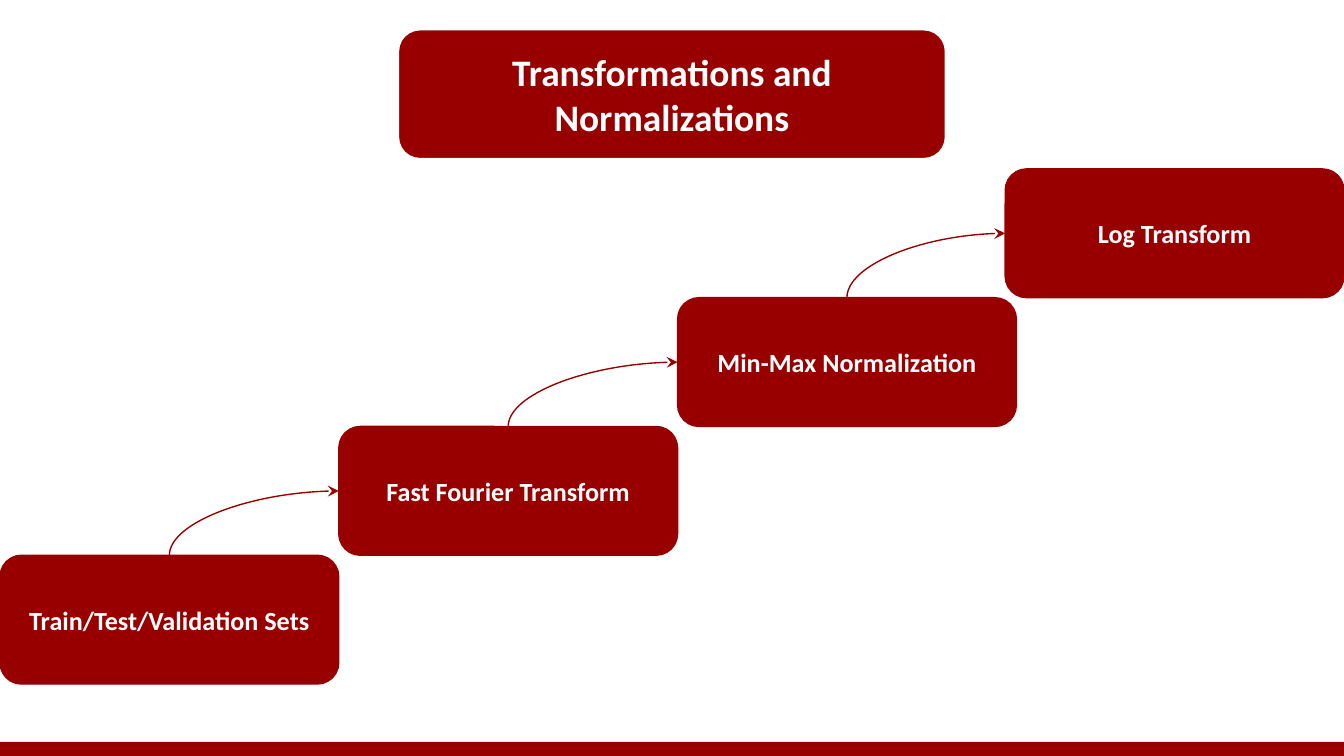
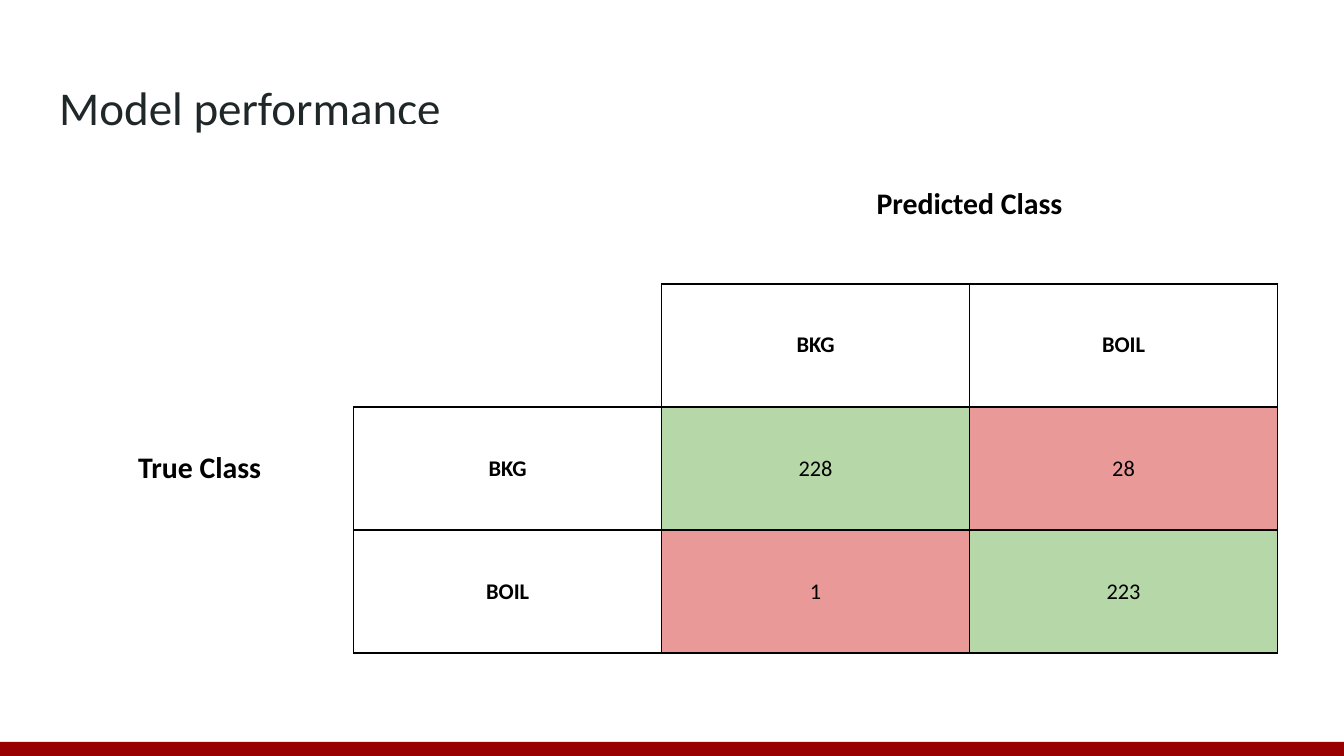
"""Build two slides: the data transformation steps and the model's confusion matrix."""

from lxml import etree
from pptx import Presentation
from pptx.dml.color import RGBColor
from pptx.enum.shapes import MSO_CONNECTOR, MSO_SHAPE
from pptx.enum.text import MSO_ANCHOR, MSO_AUTO_SIZE, PP_ALIGN
from pptx.oxml import parse_xml
from pptx.oxml.ns import nsdecls, qn
from pptx.util import Pt

RECTANGLE = MSO_SHAPE.RECTANGLE
ROUNDED = MSO_SHAPE.FLOWCHART_ALTERNATE_PROCESS
CURVE = MSO_CONNECTOR.CURVE
TOP, MIDDLE = MSO_ANCHOR.TOP, MSO_ANCHOR.MIDDLE
LEFT, CENTER = PP_ALIGN.LEFT, PP_ALIGN.CENTER
NO_AUTOFIT = MSO_AUTO_SIZE.NONE

CRIMSON = RGBColor(0x98, 0x00, 0x00)
WHITE = RGBColor(0xFF, 0xFF, 0xFF)
BLACK = RGBColor(0x00, 0x00, 0x00)
INK = RGBColor(0x20, 0x27, 0x29)
GREEN = RGBColor(0xB6, 0xD7, 0xA8)
RED = RGBColor(0xEA, 0x99, 0x99)

FONT = "Calibri"
PAGE_WIDTH, PAGE_HEIGHT = 720, 405
BAR_HEIGHT = 7.5

STEPS_TITLE = "Transformations and Normalizations"
STEPS = [
    "Train/Test/Validation Sets",
    "Fast Fourier Transform",
    "Min-Max Normalization",
    "Log Transform",
]
STEP_WIDTH, STEP_HEIGHT, FIRST_STEP_TOP = 181.5, 69, 297.5

MATRIX_TITLE = "Model performance"
MATRIX = [
    ["", "", "Predicted Class", ""],
    ["True Class", "", "BKG", "BOIL"],
    ["", "BKG", "228", "28"],
    ["", "BOIL", "1", "223"],
]
AXIS_LABELS = {"Predicted Class", "True Class"}
MATRIX_LEFT, MATRIX_TOP, COLUMN_WIDTH = 24.5, 67, 165
ROW_HEIGHTS = [85, 66, 66, 66]
GRID_BORDERS = dict.fromkeys("LRTB", BLACK)
PREDICTED_BORDERS = {"L": WHITE, "R": WHITE, "T": WHITE, "B": BLACK}
BORDERS = {
    (0, 0): {},
    (0, 1): {"R": WHITE, "T": WHITE, "B": WHITE},
    (0, 2): PREDICTED_BORDERS,
    (0, 3): PREDICTED_BORDERS,
    (1, 0): {"L": WHITE, "R": WHITE, "B": WHITE},
    (1, 1): {"L": WHITE, "R": BLACK, "T": WHITE, "B": BLACK},
    (2, 0): {},
    (3, 0): {"B": WHITE},
}


def write(frame, text, size=14, bold=True, color=WHITE, align=CENTER):
    """Put one formatted paragraph in a text frame."""
    para = frame.paragraphs[0]
    para.alignment = align
    span = para.add_run()
    span.text = text
    span.font.name = FONT
    span.font.size = Pt(size)
    span.font.bold = bold
    span.font.color.rgb = color


def set_margins(holder, margin):
    """Give a text frame or a cell the same margin on every side."""
    holder.margin_left = holder.margin_right = Pt(margin)
    holder.margin_top = holder.margin_bottom = Pt(margin)


def add_block(page, preset, left, top, width, height, line=None):
    """Add a crimson shape, outlined only when a line colour is given."""
    block = page.shapes.add_shape(preset, Pt(left), Pt(top), Pt(width), Pt(height))
    block.shadow.inherit = False
    block.fill.solid()
    block.fill.fore_color.rgb = CRIMSON
    if line is None:
        block.line.fill.background()
    else:
        block.line.color.rgb = line
        block.line.width = Pt(0.75)
    return block


def add_box(page, text, left, top, width, line=CRIMSON, size=14):
    """Add a rounded box with centred text."""
    box = add_block(page, ROUNDED, left, top, width, STEP_HEIGHT, line)
    frame = box.text_frame
    frame.word_wrap = True
    frame.vertical_anchor = MIDDLE
    set_margins(frame, 7.2)
    write(frame, text, size=size)
    return box


def add_curve(page, source, target):
    """Curve an arrow from the top of one box to the left side of another."""
    start_x, start_y = source.left + source.width // 2, source.top
    end_x, end_y = target.left, target.top + target.height // 2
    curve = page.shapes.add_connector(CURVE, start_x, start_y, end_x, end_y)
    curve.begin_connect(source, 0)
    curve.end_connect(target, 1)
    curve.line.color.rgb = CRIMSON
    curve.line.width = Pt(0.75)

    run, rise = end_x - start_x, start_y - end_y
    curve.left = (start_x + end_x - rise) // 2
    curve.top = (start_y + end_y - run) // 2
    curve.width, curve.height = rise, run
    properties = curve.element.spPr
    transform = properties.find(qn("a:xfrm"))
    transform.attrib.pop("flipV", None)
    transform.set("rot", str(270 * 60000))
    properties.find(qn("a:prstGeom")).set("prst", "curvedConnector2")
    etree.SubElement(properties.find(qn("a:ln")), qn("a:tailEnd"), type="stealth")
    etree.SubElement(properties, qn("a:effectLst"))


def set_borders(cell, borders):
    """Draw the listed sides of a cell and hide the others."""
    properties = cell._tc.get_or_add_tcPr()
    for side in "LRTB":
        paint = "<a:noFill/>"
        if side in borders:
            paint = f'<a:solidFill><a:srgbClr val="{borders[side]}"/></a:solidFill>'
        properties.append(parse_xml(
            f'<a:ln{side} {nsdecls("a")} w="{Pt(1)}">{paint}</a:ln{side}>'))


def add_bar(deck, page):
    """Draw the bottom bar and move it to the slide master."""
    bar = add_block(page, RECTANGLE, 0, PAGE_HEIGHT - BAR_HEIGHT, PAGE_WIDTH, BAR_HEIGHT)
    deck.slide_master.shapes.element.append(bar.element)


def build_steps(page):
    """Lay the steps out as a rising staircase joined by arrows."""
    boxes = []
    for index, text in enumerate(STEPS):
        left = min(index * STEP_WIDTH, PAGE_WIDTH - STEP_WIDTH)
        boxes.append(add_box(page, text, left, FIRST_STEP_TOP - index * STEP_HEIGHT, STEP_WIDTH))
    add_box(page, STEPS_TITLE, 213.5, 16, 293, line=WHITE, size=20)
    for source, target in zip(boxes, boxes[1:]):
        add_curve(page, source, target)


def build_matrix(page):
    """Add the title and the confusion matrix."""
    title = page.shapes.title
    title.left, title.top, title.width, title.height = Pt(24.5), Pt(35), Pt(671), Pt(45)
    frame = title.text_frame
    frame.word_wrap = True
    frame.auto_size = NO_AUTOFIT
    frame.vertical_anchor = TOP
    set_margins(frame, 7.2)
    write(frame, MATRIX_TITLE, size=25.2, bold=False, color=INK, align=LEFT)

    rows, columns = len(MATRIX), len(MATRIX[0])
    table = page.shapes.add_table(
        rows, columns, Pt(MATRIX_LEFT), Pt(MATRIX_TOP),
        Pt(columns * COLUMN_WIDTH), Pt(sum(ROW_HEIGHTS))).table
    table.first_row = table.horz_banding = False
    for column in table.columns:
        column.width = Pt(COLUMN_WIDTH)
    for row, height in zip(table.rows, ROW_HEIGHTS):
        row.height = Pt(height)
    table.cell(0, 2).merge(table.cell(0, 3))
    table.cell(1, 0).merge(table.cell(3, 0))

    for row, texts in enumerate(MATRIX):
        for column, text in enumerate(texts):
            cell = table.cell(row, column)
            set_borders(cell, BORDERS.get((row, column), GRID_BORDERS))
            cell.vertical_anchor = MIDDLE
            set_margins(cell, 5)
            if text.isdigit():
                cell.fill.solid()
                cell.fill.fore_color.rgb = GREEN if row == column else RED
            else:
                cell.fill.background()
            if text:
                write(cell.text_frame, text, size=16 if text in AXIS_LABELS else 12,
                      bold=not text.isdigit(), color=BLACK)


def main():
    """Build and save the deck."""
    deck = Presentation()
    deck.slide_width, deck.slide_height = Pt(PAGE_WIDTH), Pt(PAGE_HEIGHT)
    steps_page = deck.slides.add_slide(deck.slide_layouts[6])
    add_bar(deck, steps_page)
    build_steps(steps_page)
    build_matrix(deck.slides.add_slide(deck.slide_layouts[5]))
    deck.save("out.pptx")


if __name__ == "__main__":
    main()
